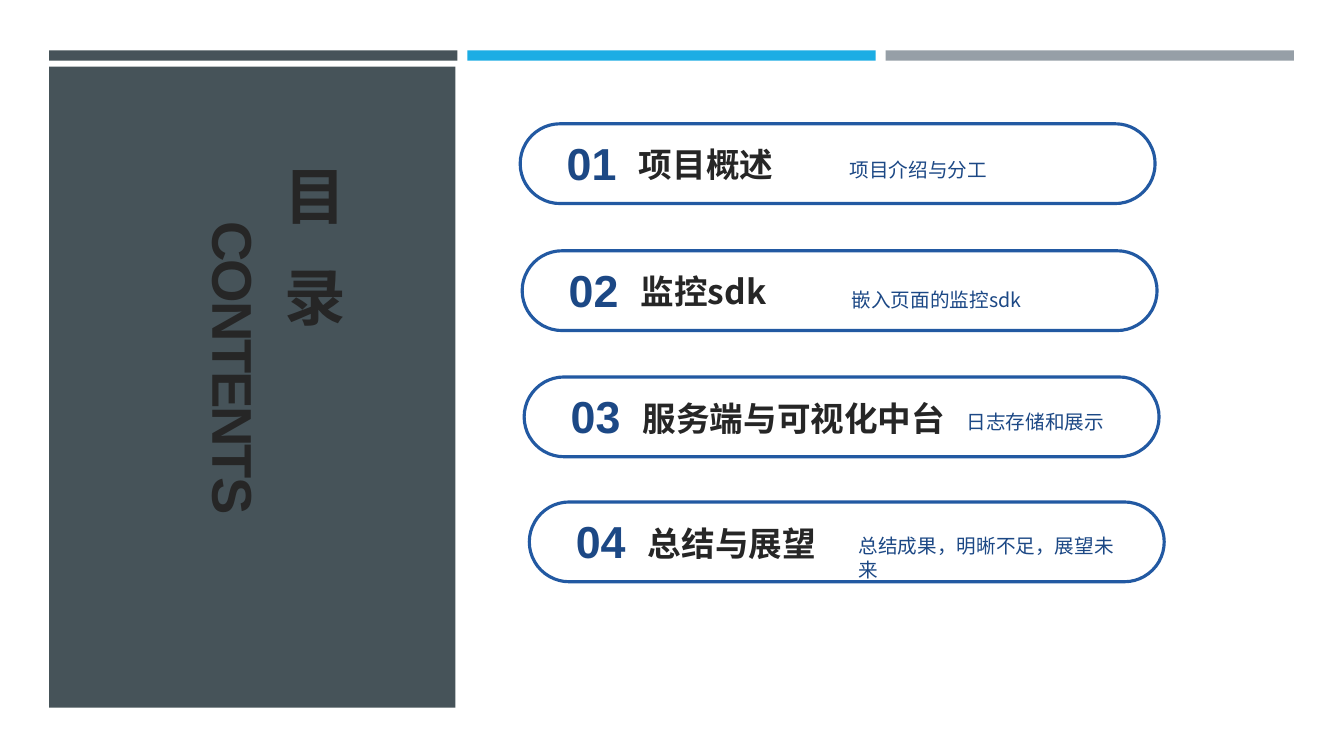
from lxml.etree import SubElement
from pptx import Presentation
from pptx.dml.color import RGBColor
from pptx.enum.shapes import MSO_SHAPE as Preset
from pptx.enum.text import MSO_ANCHOR as Anchor, MSO_AUTO_SIZE as AutoSize, PP_ALIGN as Align
from pptx.oxml.ns import qn
from pptx.util import Cm, Pt

SLATE = RGBColor(0x46, 0x53, 0x59)
SKY = RGBColor(0x1C, 0xAD, 0xE4)
GREY = RGBColor(0x96, 0x9F, 0xA7)
INK = RGBColor(0x26, 0x26, 0x26)
NAVY = RGBColor(0x1C, 0x48, 0x85)
OUTLINE = RGBColor(0x22, 0x59, 0xA2)
HAN, LATIN = "Noto Sans CJK SC", "Arial"

# Left and top of each pill, number, heading, heading width,
# description, and its offset within the pill (all in cm)
CHAPTERS = [
    (13.11, 3.12, "01", "项目概述", 5.77, "项目介绍与分工", 8.05, 0.74),
    (13.16, 6.32, "02", "监控sdk", 5.77, "嵌入页面的监控sdk", 8.05, 0.81),
    (13.21, 9.5, "03", "服务端与可视化中台", 8.15, "日志存储和展示", 10.9, 0.71),
    (13.34, 12.65, "04", "总结与展望", 5.77, "总结成果，明晰不足，展望未来", 8.05, 0.69),
]


def write(holder, text, size, font, color, bold=True, align=Align.LEFT, spacing=None, vertical=False):
    """Format the text frame of a box and add one run to it."""
    frame = holder.text_frame
    frame.word_wrap = True
    frame.auto_size = AutoSize.NONE
    frame.vertical_anchor = Anchor.TOP
    if vertical:
        frame._txBody.bodyPr.set("vert", "eaVert")
    paragraph = frame.paragraphs[0]
    paragraph.alignment = align
    run = paragraph.add_run()
    run.text = text
    run.font.size = Pt(size)
    run.font.bold = bold
    run.font.color.rgb = color
    run.font.name = font
    properties = run._r.get_or_add_rPr()
    SubElement(properties, qn("a:ea")).set("typeface", font)
    if spacing is not None:
        properties.set("spc", str(int(spacing * 100)))


def add_text(shapes, left, top, width, height, *args, **kwargs):
    label = shapes.add_textbox(Cm(left), Cm(top), Cm(width), Cm(height))
    write(label, *args, **kwargs)


def add_block(shapes, left, top, width, height, color):
    block = shapes.add_shape(Preset.RECTANGLE, Cm(left), Cm(top), Cm(width), Cm(height))
    block.shadow.inherit = False
    block.fill.solid()
    block.fill.fore_color.rgb = color
    block.line.fill.background()


def add_top_bars(shapes, left, top, width, height, gap):
    for i, color in enumerate((SLATE, SKY, GREY)):
        add_block(shapes, left + i * (width + gap), top, width, height, color)


def add_contents_panel(shapes, left, top, width, height):
    add_block(shapes, left, top, width, height, SLATE)
    # Bring the title in front of the panel
    title = shapes.title
    shapes._spTree.append(title._element)
    title.left, title.top = Cm(left + 5.44), Cm(top + 2.36)
    title.width, title.height = Cm(2.39), Cm(5.89)
    write(title, "目 录", 44, HAN, INK, align=Align.CENTER, spacing=9, vertical=True)
    add_text(shapes, left + 3.41, top + 3.65, 2.24, 9.45, "CONTENTS", 40, LATIN, INK,
             align=Align.CENTER, spacing=-1.5, vertical=True)


def add_chapter(shapes, left, top, number, heading, heading_width, description, shift, drop):
    chapter = shapes.add_group_shape().shapes
    pill = chapter.add_shape(Preset.ROUNDED_RECTANGLE, Cm(left), Cm(top), Cm(16), Cm(2.01))
    pill.adjustments[0] = 0.5
    pill.shadow.inherit = False
    pill.fill.background()
    pill.line.color.rgb = OUTLINE
    pill.line.width = Pt(2.25)
    add_text(chapter, left + 0.81, top + 0.18, 1.98, 1.63, number, 32, LATIN, NAVY, align=Align.CENTER)
    add_text(chapter, left + 2.74, top + 0.39, heading_width, 1.27, heading, 24, HAN, INK)
    add_text(chapter, left + shift, top + drop, 7.04, 0.86, description, 14, HAN, NAVY, bold=False)


def main():
    deck = Presentation()
    deck.slide_width, deck.slide_height = Cm(33.87), Cm(19.05)
    shapes = deck.slides.add_slide(deck.slide_layouts.get_by_name("Title Only")).shapes
    # Header bars, left panel, list of chapters
    add_top_bars(shapes, 1.24, 1.27, 10.29, 0.26, 0.25)
    add_contents_panel(shapes, 1.24, 1.68, 10.24, 16.15)
    for chapter in CHAPTERS:
        add_chapter(shapes, *chapter)
    deck.save("out.pptx")


if __name__ == "__main__":
    main()
